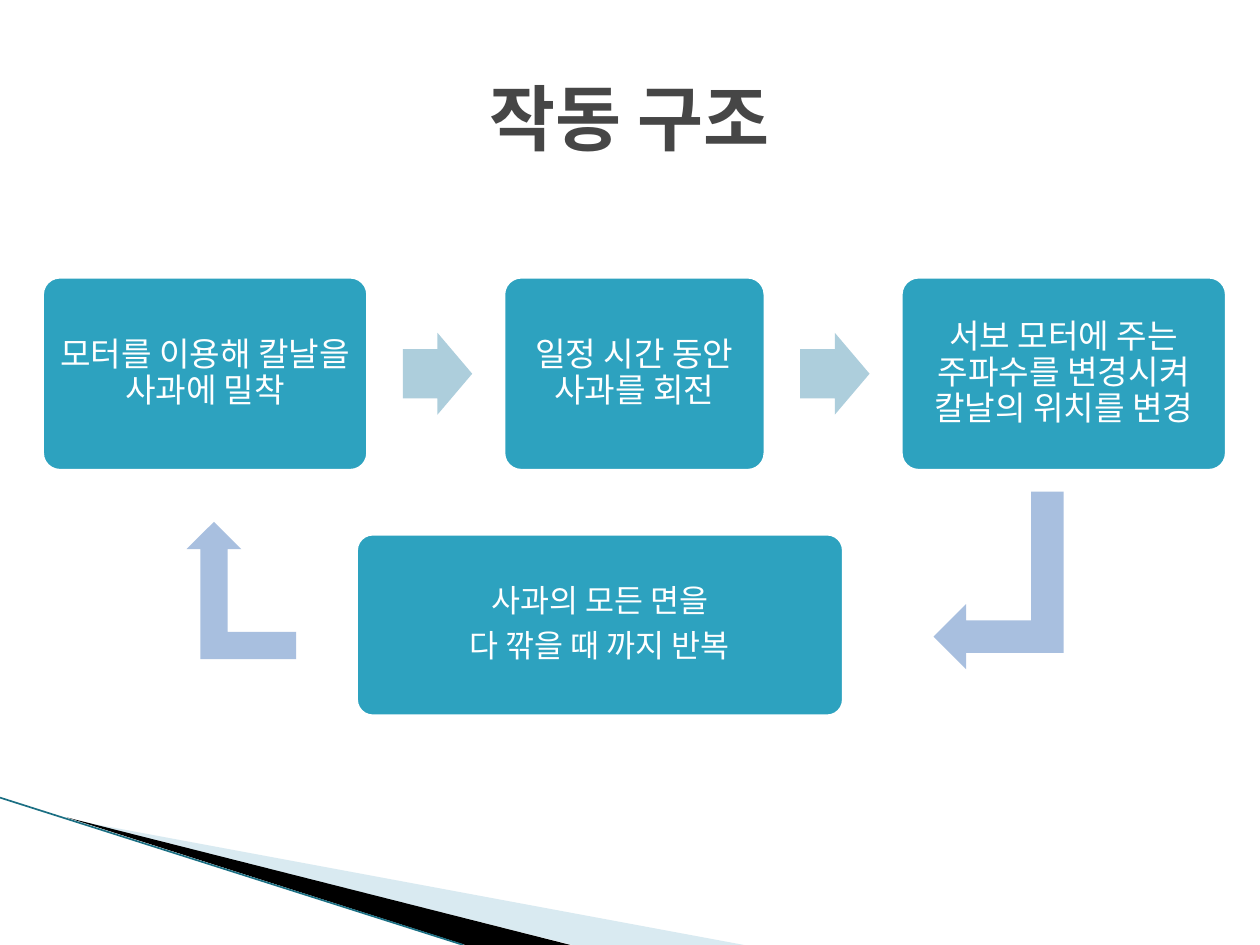
from lxml.etree import SubElement as Sub
from pptx import Presentation as Deck
from pptx.dml.color import RGBColor as Rgb
from pptx.enum.shapes import MSO_CONNECTOR as Link, MSO_SHAPE as Kind
from pptx.enum.text import MSO_ANCHOR as Anchor, PP_ALIGN as Align
from pptx.oxml.ns import qn
from pptx.util import Cm, Pt

HUES = {
    "box": "2DA2BF", "white": "FFFFFF", "title": "464646", "step": "ADCEDC",
    "loop": "A8BFDF", "pale": "A0CBDC", "black": "000000", "edge": "1B6F83",
}
FACE = "DejaVu Sans Mono"


class Page:
    def __init__(self, slide):
        self.slide = slide
        self.items = slide.shapes

    def hue(self, name):
        return Rgb.from_string(HUES[name])

    def paint(self, item, name):
        item.shadow.inherit = False
        item.fill.solid()
        item.fill.fore_color.rgb = self.hue(name)
        item.line.fill.background()

    def label(self, item, lines, size, hue, pad, bold=False, para=None):
        frame = item.text_frame
        look = {"word_wrap": True, "vertical_anchor": Anchor.MIDDLE}
        look.update({f"margin_{side}": Cm(pad) for side in ("left", "right", "top", "bottom")})
        for key, val in look.items():
            setattr(frame, key, val)
        frame.text = "\n".join(lines)
        for par in frame.paragraphs:
            for key, val in {"alignment": Align.CENTER, **(para or {})}.items():
                setattr(par, key, val)
            font = par.runs[0].font
            for key, val in {"size": Pt(size), "bold": bold, "name": FACE}.items():
                setattr(font, key, val)
            font.color.rgb = self.hue(hue)

    def title(self, text, *area):
        item = self.items.add_textbox(*map(Cm, area))
        self.label(item, [text], 41, "title", 0.25, bold=True)

    def box(self, lines, size, *area):
        item = self.items.add_shape(Kind.ROUNDED_RECTANGLE, *map(Cm, area))
        item.adjustments[0] = 0.1
        self.paint(item, "box")
        item.line.color.rgb = self.hue("white")
        item.line.width = Pt(4.33)
        para = {"line_spacing": 0.9, "space_after": Pt(size * 0.35)}
        self.label(item, lines, size, "white", 0.1, para=para)

    def step(self, *area):
        item = self.items.add_shape(Kind.RIGHT_ARROW, *map(Cm, area))
        item.adjustments[0] = 0.6
        self.paint(item, "step")

    def bend(self, turn, *area):
        item = self.items.add_shape(Kind.BENT_UP_ARROW, *map(Cm, area))
        self.paint(item, "loop")
        item.rotation = turn
        item._element.spPr.xfrm.set("flipV", "1")

    def wedge(self, hue, dots, alpha=None):
        dots = [(Cm(x), Cm(y)) for x, y in dots]
        pen = self.items.build_freeform(*dots[0])
        pen.add_line_segments(dots[1:])
        item = pen.convert_to_shape()
        self.paint(item, hue)
        if alpha:
            tone = item._element.spPr.find(qn("a:solidFill"))[0]
            Sub(tone, qn("a:alpha"), val=str(alpha * 1000))

    def line(self, hue, width, *ends):
        item = self.items.add_connector(Link.STRAIGHT, *map(Cm, ends))
        item.line.color.rgb = self.hue(hue)
        item.line.width = Pt(width)
        Sub(item._element.spPr, qn("a:effectLst"))


def main():
    deck = Deck()
    deck.slide_width, deck.slide_height = Cm(25.4), Cm(19.05)
    page = Page(deck.slides.add_slide(deck.slide_layouts[6]))

    page.wedge("pale", [(1.4, 16.52), (15, 19.05), (11.54, 19.05)], 40)
    page.wedge("black", [(1.35, 16.48), (11.5, 19.05), (9.38, 19.05)])
    page.line("edge", 0.95, 0, 16.08, 9.34, 19.05)
    page.title("작동 구조", 1.27, 0.76, 22.86, 3.18)

    left, top, high, gap = 0.81, 5.54, 3.99, 2.65
    wide, tall = 1.4, 1.65
    steps = [
        ("모터를 이용해 칼날을 사과에 밀착", 6.65),
        ("일정 시간 동안 사과를 회전", 5.36),
        ("서보 모터에 주는 주파수를 변경시켜 칼날의 위치를 변경", 6.65),
    ]
    for spot, (text, width) in enumerate(steps):
        if spot:
            page.step(left - gap + 0.66, top + (high - tall) / 2, wide, tall)
        page.box([text], 19, left, top, width, high)
        left += width + gap

    page.bend(90, 18.34, 10.39, 3.58, 2.62)
    page.bend(180, 3.76, 10.52, 2.21, 2.77)
    page.box(["사과의 모든 면을", "다 깎을 때 까지 반복"], 18, 7.14, 10.72, 9.91, 3.76)
    deck.save("out.pptx")


if __name__ == "__main__":
    main()
